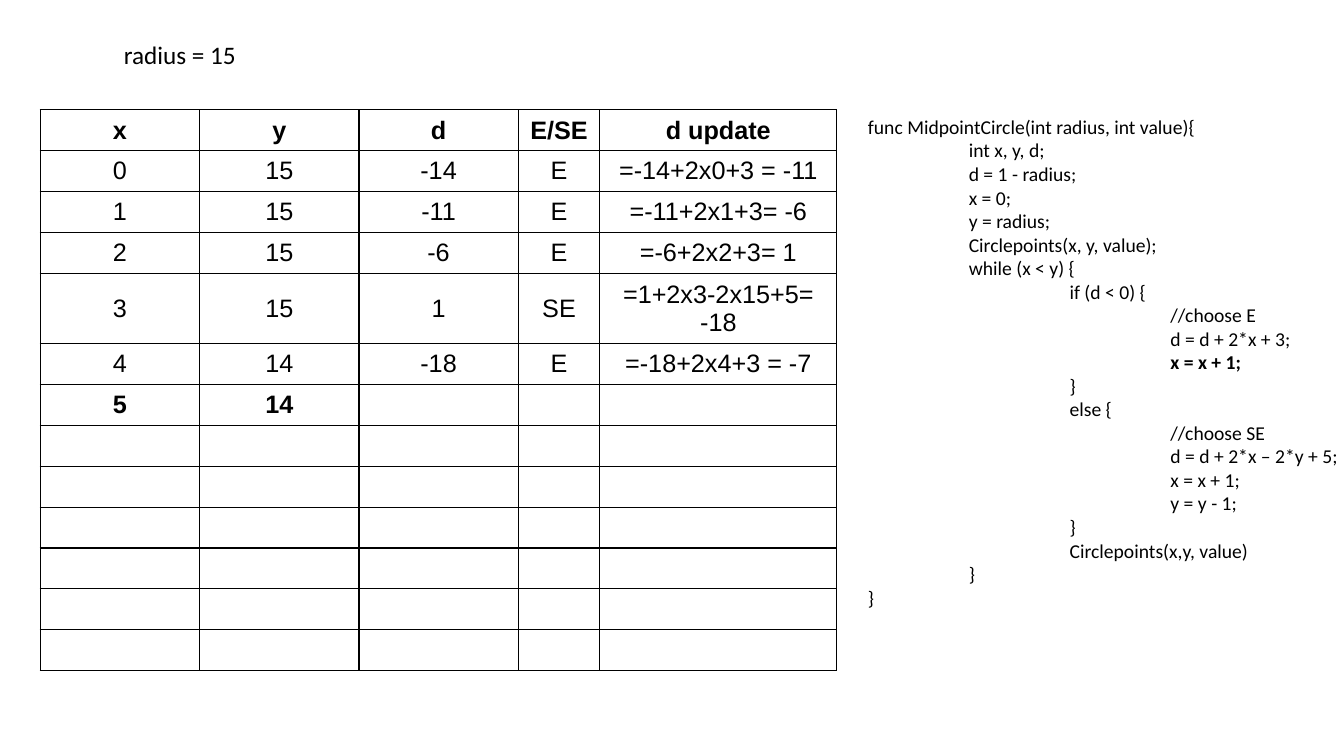
from dataclasses import dataclass

from lxml.etree import SubElement
from pptx import Presentation
from pptx.dml.color import RGBColor
from pptx.enum.text import MSO_ANCHOR, MSO_AUTO_SIZE, PP_ALIGN
from pptx.oxml.ns import qn
from pptx.slide import Slide
from pptx.table import _Cell
from pptx.text.text import TextFrame, _Paragraph
from pptx.util import Inches, Pt


@dataclass(frozen=True)
class Theme:
    ink: str = "000000"
    text_font: str = "Calibri"
    table_font: str = "Arial"
    body_size: int = 18
    code_size: int = 14
    border_width: int = 1


@dataclass(frozen=True)
class CodeLine:
    depth: int
    text: str
    bold: bool = False


@dataclass(frozen=True)
class TraceRow:
    values: tuple[str, ...] = ()
    bold: bool = False


THEME = Theme()
INDENT = Inches(1)
COLUMN_WIDTHS = (1.58, 1.58, 1.58, 0.81, 2.35)
TABLE_HEIGHT = 5.27
EMPTY_ROWS = 6

TRACE = [
    TraceRow(("x", "y", "d", "E/SE", "d update"), bold=True),
    TraceRow(("0", "15", "-14", "E", "=-14+2x0+3 = -11")),
    TraceRow(("1", "15", "-11", "E", "=-11+2x1+3= -6")),
    TraceRow(("2", "15", "-6", "E", "=-6+2x2+3= 1")),
    TraceRow(("3", "15", "1", "SE", "=1+2x3-2x15+5= -18")),
    TraceRow(("4", "14", "-18", "E", "=-18+2x4+3 = -7")),
    TraceRow(("5", "14"), bold=True),
] + [TraceRow()] * EMPTY_ROWS

CODE = [
    CodeLine(0, "func MidpointCircle(int radius, int value){"),
    CodeLine(1, "int x, y, d;"),
    CodeLine(1, "d = 1 - radius;"),
    CodeLine(1, "x = 0;"),
    CodeLine(1, "y = radius;"),
    CodeLine(1, "Circlepoints(x, y, value);"),
    CodeLine(1, "while (x < y) {"),
    CodeLine(2, "if (d < 0) {"),
    CodeLine(3, "//choose E"),
    CodeLine(3, "d = d + 2*x + 3;"),
    CodeLine(3, "x = x + 1;", bold=True),
    CodeLine(2, "}"),
    CodeLine(2, "else {"),
    CodeLine(3, "//choose SE"),
    CodeLine(3, "d = d + 2*x – 2*y + 5;"),
    CodeLine(3, "x = x + 1;"),
    CodeLine(3, "y = y - 1;"),
    CodeLine(2, "}"),
    CodeLine(2, "Circlepoints(x,y, value)"),
    CodeLine(1, "}"),
    CodeLine(0, "}"),
]


def add_span(para: _Paragraph, text: str, font: str, size: int, bold: bool = False) -> None:
    span = para.add_run()
    span.text = text
    span.font.name = font
    span.font.size = Pt(size)
    span.font.bold = bold
    span.font.color.rgb = RGBColor.from_string(THEME.ink)


def add_text_box(page: Slide, left: float, top: float, width: float,
                 height: float, wrap: bool) -> TextFrame:
    box = page.shapes.add_textbox(Inches(left), Inches(top), Inches(width), Inches(height))
    frame = box.text_frame
    frame.word_wrap = wrap
    frame.auto_size = MSO_AUTO_SIZE.SHAPE_TO_FIT_TEXT
    return frame


def add_borders(cell: _Cell) -> None:
    properties = cell._tc.get_or_add_tcPr()
    for side in ("a:lnL", "a:lnR", "a:lnT", "a:lnB"):
        line = SubElement(properties, qn(side), w=str(Pt(THEME.border_width)))
        fill = SubElement(line, qn("a:solidFill"))
        SubElement(fill, qn("a:srgbClr"), val=THEME.ink)


def add_code(page: Slide) -> None:
    frame = add_text_box(page, 8.51, 1.09, 5.12, 5.28, wrap=True)
    for number, line in enumerate(CODE):
        para = frame.add_paragraph() if number else frame.paragraphs[0]
        para._p.get_or_add_pPr().set("marL", str(line.depth * INDENT))
        add_span(para, line.text, THEME.text_font, THEME.code_size, line.bold)


def add_trace(page: Slide) -> None:
    table = page.shapes.add_table(
        len(TRACE), len(COLUMN_WIDTHS), Inches(0.4), Inches(1.09),
        Inches(sum(COLUMN_WIDTHS)), Inches(TABLE_HEIGHT)).table
    table.first_row = False
    table.horz_banding = False
    for column, width in zip(table.columns, COLUMN_WIDTHS):
        column.width = Inches(width)

    for row, trace in zip(table.rows, TRACE):
        for cell in row.cells:
            cell.vertical_anchor = MSO_ANCHOR.MIDDLE
            add_borders(cell)
            cell.fill.background()
        for cell, value in zip(row.cells, trace.values):
            para = cell.text_frame.paragraphs[0]
            para.alignment = PP_ALIGN.CENTER
            add_span(para, value, THEME.table_font, THEME.body_size, trace.bold)


def main() -> None:
    deck = Presentation()
    deck.slide_width = Inches(13.33)
    deck.slide_height = Inches(7.5)
    page = deck.slides.add_slide(deck.slide_layouts[6])

    # Algorithm listing on the right
    add_code(page)

    # Step-by-step trace table
    add_trace(page)

    # Starting value above the table
    heading = add_text_box(page, 1.13, 0.34, 1.33, 0.4, wrap=False)
    add_span(heading.paragraphs[0], "radius = 15", THEME.text_font, THEME.body_size)

    deck.save("out.pptx")


if __name__ == "__main__":
    main()
